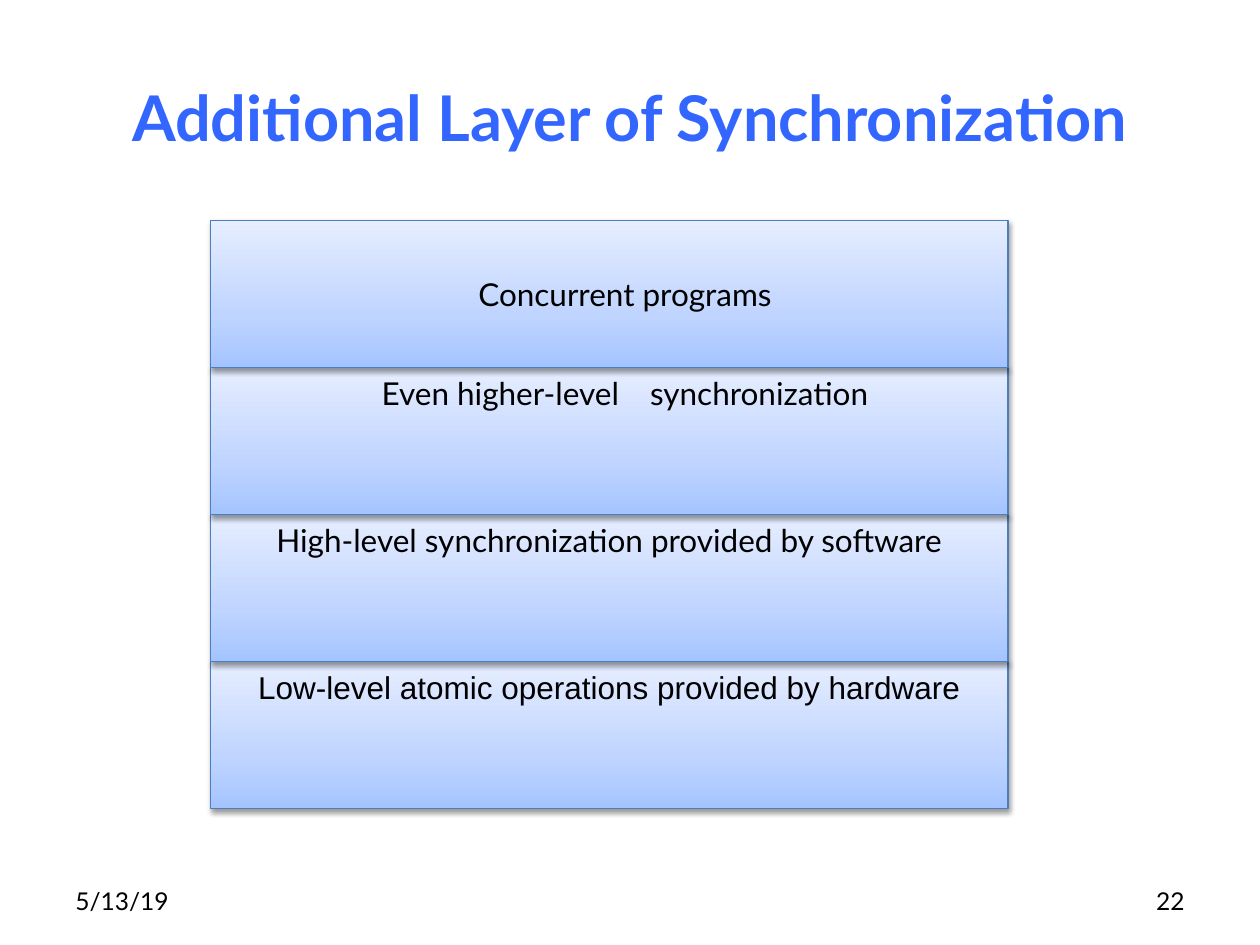
from copy import deepcopy
from dataclasses import dataclass

from lxml import etree
from pptx import Presentation
from pptx import util as u
from pptx.dml.color import RGBColor
from pptx.enum import shapes, text
from pptx.oxml import parse_xml
from pptx.oxml.ns import nsdecls, qn

ALIGN = text.PP_ALIGN
ANCHOR = text.MSO_ANCHOR


@dataclass(frozen=True)
class Theme:
    font: str = "Lato"
    hardware_font: str = "Arial"
    title_color: str = "3366FF"
    ink: str = "000000"
    outline: str = "4B7EBC"
    gradient: tuple = ((0, "A4C4FF"), (0.35, "BFD4FF"), (1, "E6EEFF"))
    title_size: int = 36
    layer_size: int = 18
    footer_size: int = 14


class LayerSlide:
    def __init__(self, slide, theme):
        self.slide = slide
        self.theme = theme

    def set_words(self, frame, words, size, color=None, font=None, bold=False,
                  align=ALIGN.CENTER, anchor=ANCHOR.MIDDLE, tab=None):
        frame.word_wrap = True
        frame.vertical_anchor = anchor
        paragraph = frame.paragraphs[0]
        paragraph.text = words
        paragraph.alignment = align
        if tab is not None:
            tabs = etree.SubElement(paragraph._p.get_or_add_pPr(), qn("a:tabLst"))
            etree.SubElement(tabs, qn("a:tab"), pos=str(u.Inches(tab)), algn="l")
        run_font = paragraph.runs[0].font
        run_format = {"name": font or self.theme.font, "size": u.Pt(size), "bold": bold}
        for name, value in run_format.items():
            setattr(run_font, name, value)
        run_font.color.rgb = RGBColor.from_string(color or self.theme.ink)

    def label(self, box, words, size, **style):
        area = self.slide.shapes.add_textbox(*map(u.Inches, box))
        self.set_words(area.text_frame, words, size, **style)

    def layer(self, box, words, inset=0.1, **style):
        block = self.slide.shapes.add_shape(
            shapes.MSO_SHAPE.RECTANGLE, *map(u.Inches, box))
        self.shade(block)
        self.drop_shadow(block)
        block.line.color.rgb = RGBColor.from_string(self.theme.outline)
        block.line.width = u.Pt(0.75)
        block.text_frame.margin_left = u.Inches(inset)
        self.set_words(block.text_frame, words, self.theme.layer_size, **style)

    def shade(self, block):
        """Fill with the theme gradient, darkest at the bottom."""
        block.fill.gradient()
        block.fill.gradient_angle = 90
        stops = block._element.spPr.find(qn("a:gradFill")).find(qn("a:gsLst"))
        stops.insert(1, deepcopy(stops[0]))
        for stop, (position, color) in zip(block.fill.gradient_stops, self.theme.gradient):
            stop.position = position
            stop.color.rgb = RGBColor.from_string(color)

    def drop_shadow(self, block):
        block.shadow.inherit = False
        block._element.spPr.find(qn("a:effectLst")).append(parse_xml(
            f'<a:outerShdw {nsdecls("a")} blurRad="40000" dist="20000" dir="5400000" '
            f'rotWithShape="0"><a:srgbClr val="{self.theme.ink}">'
            '<a:alpha val="38000"/></a:srgbClr></a:outerShdw>'))


def main():
    deck = Presentation()
    deck.slide_width, deck.slide_height = u.Inches(10), u.Inches(7.5)
    theme = Theme()
    page = LayerSlide(deck.slides.add_slide(deck.slide_layouts[6]), theme)

    page.label((0.5, 0.3, 9, 1.25), "Additional Layer of Synchronization",
               theme.title_size, color=theme.title_color, bold=True)
    page.label((0.5, 6.95, 2.33, 0.4), "5/13/19", theme.footer_size, align=ALIGN.LEFT)
    page.label((7.17, 6.95, 2.33, 0.4), "22", theme.footer_size, align=ALIGN.RIGHT)

    layers = [
        ("Concurrent programs", {"inset": 0.35}),
        ("Even higher-level\tsynchronization",
         {"inset": 1.36, "align": ALIGN.LEFT, "tab": 2.13, "anchor": ANCHOR.TOP}),
        ("High-level synchronization provided by software", {"anchor": ANCHOR.TOP}),
        ("Low-level atomic operations provided by hardware",
         {"anchor": ANCHOR.TOP, "font": theme.hardware_font}),
    ]
    left, top, width, stack_height = 1.67, 1.75, 6.33, 4.67
    height = stack_height / len(layers)
    # Lowest layer first, so each layer casts its shadow on the one below.
    for row, (words, style) in reversed(list(enumerate(layers))):
        page.layer((left, top + row * height, width, height), words, **style)

    deck.save("out.pptx")


if __name__ == "__main__":
    main()
